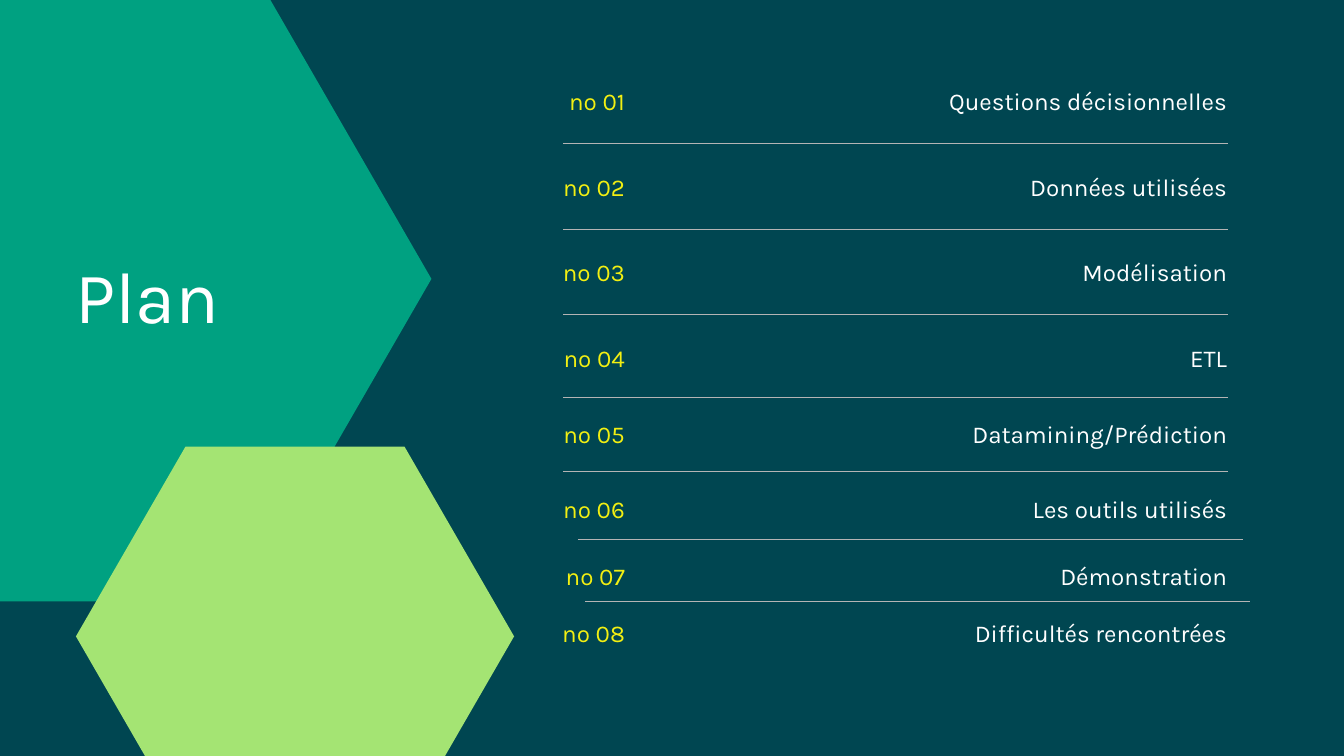
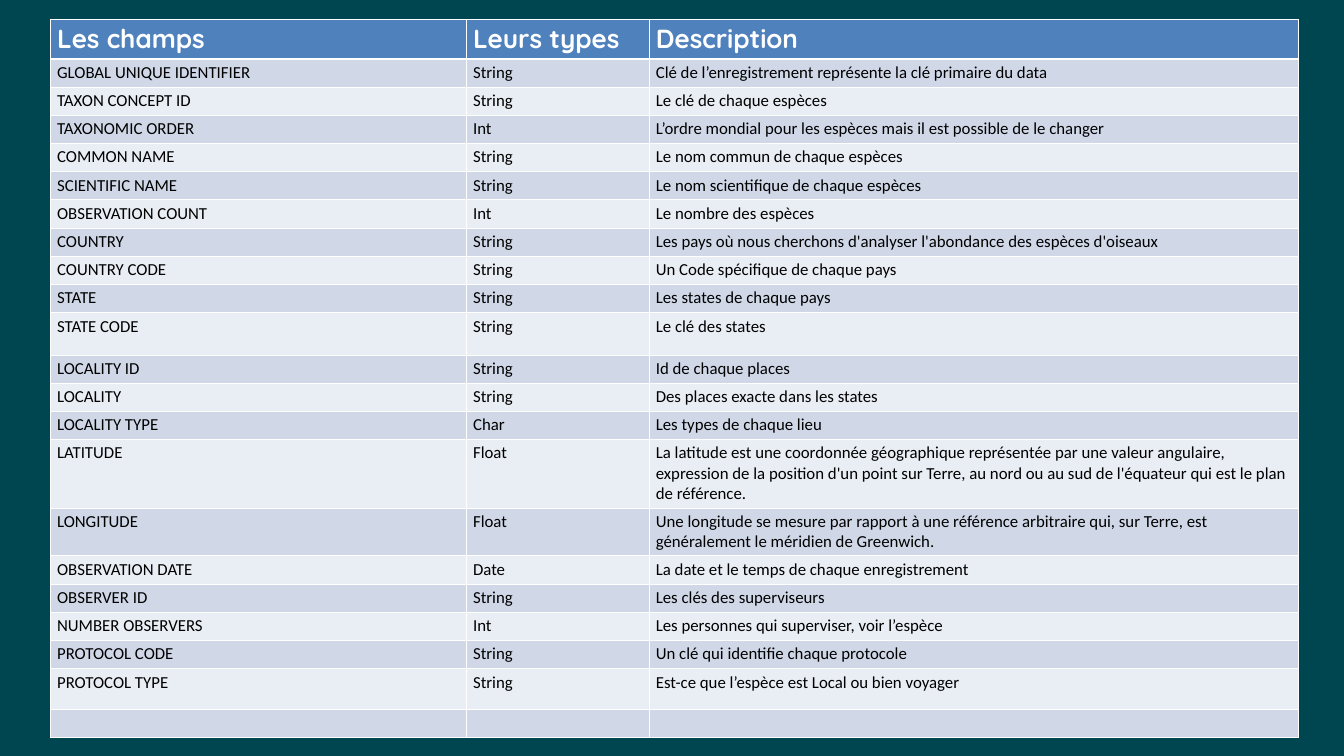
import math
import pptx
import pptx.util
import pptx.dml.color
import pptx.enum.shapes
import pptx.enum.text
import pptx.oxml

Inch, Pt = pptx.util.Inches, pptx.util.Pt
RGB = pptx.dml.color.RGBColor
Align = pptx.enum.text.PP_ALIGN

NIGHT = RGB(0x00, 0x46, 0x51)
GREEN = RGB(0x00, 0xA1, 0x81)
LIME = RGB(0xA4, 0xE4, 0x73)
YELLOW = RGB(0xF2, 0xEF, 0x12)
GREY = RGB(0xB4, 0xB4, 0xB4)
WHITE = RGB(0xFF, 0xFF, 0xFF)
BLACK = RGB(0x00, 0x00, 0x00)
BLUE = RGB(0x4F, 0x81, 0xBD)
BANDS = RGB(0xE9, 0xED, 0xF4), RGB(0xD0, 0xD8, 0xE8)

WIDE, HIGH = 20, 11.25
TITLE = dict(size=Pt(77.8), name="Karla", bold=False)
ITEM = dict(size=Pt(25.9), name="Karla")
HEAD = dict(size=Pt(28), name="Quicksand", bold=True)
CELL = dict(size=Pt(18), name="Calibri", bold=False)

# Topic, top of its row, height of the rule above it, left end of that rule
PLAN = [
    ("Questions décisionnelles", 1.21, None, None),
    ("Données utilisées", 2.49, 2.13, 8.38),
    ("Modélisation", 3.76, 3.41, 8.38),
    ("ETL", 5.04, 4.68, 8.38),
    ("Datamining/Prédiction", 6.17, 5.92, 8.38),
    ("Les outils utilisés", 7.28, 7.02, 8.38),
    ("Démonstration", 8.28, 8.02, 8.6),
    ("Difficultés rencontrées", 9.13, 8.95, 8.71),
]
RULE = 9.89

FIELDS = [
    ("Les champs", "Leurs types", "Description"),
    ("GLOBAL UNIQUE IDENTIFIER", "String",
     "Clé de l’enregistrement représente la clé primaire du data"),
    ("TAXON CONCEPT ID", "String", "Le clé de chaque espèces"),
    ("TAXONOMIC ORDER", "Int",
     "L’ordre mondial pour les espèces mais il est possible de le changer"),
    ("COMMON NAME", "String", "Le nom commun de chaque espèces"),
    ("SCIENTIFIC NAME", "String", "Le nom scientifique de chaque espèces"),
    ("OBSERVATION COUNT", "Int", "Le nombre des espèces"),
    ("COUNTRY", "String",
     "Les pays où nous cherchons d'analyser l'abondance des espèces d'oiseaux"),
    ("COUNTRY CODE", "String", "Un Code spécifique de chaque pays"),
    ("STATE", "String", "Les states de chaque pays"),
    ("STATE CODE", "String", "Le clé des states"),
    ("LOCALITY ID", "String", "Id de chaque places"),
    ("LOCALITY", "String", "Des places exacte dans les states"),
    ("LOCALITY TYPE", "Char", "Les types de chaque lieu"),
    ("LATITUDE", "Float",
     "La latitude est une coordonnée géographique représentée par une valeur "
     "angulaire, expression de la position d'un point sur Terre, au nord ou au "
     "sud de l'équateur qui est le plan de référence."),
    ("LONGITUDE", "Float",
     "Une longitude se mesure par rapport à une référence arbitraire qui, sur "
     "Terre, est généralement le méridien de Greenwich."),
    ("OBSERVATION DATE", "Date", "La date et le temps de chaque enregistrement"),
    ("OBSERVER ID", "String", "Les clés des superviseurs"),
    ("NUMBER OBSERVERS", "Int", "Les personnes qui superviser, voir l’espèce"),
    ("PROTOCOL CODE", "String", "Un clé qui identifie chaque protocole"),
    ("PROTOCOL TYPE", "String", "Est-ce que l’espèce est Local ou bien voyager"),
    ("", "", ""),
]
COLS = 6.19, 2.72, 9.66
ROW = 0.42
TALL = {0: 0.58, 10: 0.63, 14: 1.02, 15: 0.71, 20: 0.61}


def style(font, look, color):
    for key, value in look.items():
        setattr(font, key, value)
    font.color.rgb = color


def write(shape, text, look, color, align, pitch):
    """Fill a text shape with one line, without insets."""
    frame = shape.text_frame
    frame.text = text
    frame.word_wrap = True
    frame.auto_size = pptx.enum.text.MSO_AUTO_SIZE.SHAPE_TO_FIT_TEXT
    frame.vertical_anchor = pptx.enum.text.MSO_ANCHOR.TOP
    for side in ("left", "top", "right", "bottom"):
        setattr(frame, "margin_" + side, 0)
    para = frame.paragraphs[0]
    para.alignment, para.line_spacing = align, Pt(pitch)
    style(para.runs[0].font, look, color)


def hexagon(slide, x, y, radius, color):
    """Draw a regular hexagon around the centre x, y."""
    spots = [(Inch(x + radius * math.cos(k * math.pi / 3)),
              Inch(y + radius * math.sin(k * math.pi / 3))) for k in range(6)]
    pen = slide.shapes.build_freeform(*spots[0])
    pen.add_line_segments(spots[1:], close=True)
    shape = pen.convert_to_shape()
    shape.shadow.inherit = False
    shape.fill.solid()
    shape.fill.fore_color.rgb = color
    shape.line.fill.background()


def rule(slide, x, y):
    line = slide.shapes.add_connector(
        pptx.enum.shapes.MSO_CONNECTOR.STRAIGHT,
        Inch(x), Inch(y), Inch(x + RULE), Inch(y))
    line.line.color.rgb, line.line.width = GREY, Pt(0.75)
    props = line.element.spPr
    props.append(props.makeelement(pptx.oxml.ns.qn("a:effectLst"), {}))


def border(cell, side, width):
    props = cell._tc.get_or_add_tcPr()
    props.append(pptx.oxml.parse_xml(
        f'<a:ln{side} {pptx.oxml.ns.nsdecls("a")} w="{Pt(width)}">'
        f'<a:solidFill><a:srgbClr val="{WHITE}"/></a:solidFill></a:ln{side}>'))


def agenda(deck):
    slide = deck.slides.add_slide(deck.slide_layouts.get_by_name("Title Only"))
    hexagon(slide, 0.88, 4.15, 5.54, GREEN)
    title = slide.shapes.title
    title.left, title.top, title.width, title.height = map(
        Inch, (1.12, 3.74, 2.79, 1.29))
    write(title, "Plan", TITLE, WHITE, Align.LEFT, 93.3)
    title.element.getparent().append(title.element)  # in front of the green
    hexagon(slide, 4.39, 9.47, 3.26, LIME)
    for num, (topic, top, y, x) in enumerate(PLAN, 1):
        if y:
            rule(slide, x, y)
        for left, width, text, color in ((7.94, 1.36, f"nº {num:02}", YELLOW),
                                         (10.48, 7.78, topic, WHITE)):
            box = slide.shapes.add_textbox(*map(Inch, (left, top, width, 0.47)))
            write(box, text, ITEM, color, Align.RIGHT, 36.4)


def fields(deck):
    slide = deck.slides.add_slide(deck.slide_layouts.get_by_name("Blank"))
    highs = [TALL.get(k, ROW) for k in range(len(FIELDS))]
    table = slide.shapes.add_table(
        len(FIELDS), len(COLS),
        *map(Inch, (0.75, 0.29, sum(COLS), sum(highs)))).table
    for col, width in zip(table.columns, COLS):
        col.width = Inch(width)
    for r, (texts, high) in enumerate(zip(FIELDS, highs)):
        table.rows[r].height = Inch(high)
        look, ink, fill = (CELL, BLACK, BANDS[r % 2]) if r else (HEAD, WHITE, BLUE)
        for c, text in enumerate(texts):
            cell = table.cell(r, c)
            for side in "LRTB":
                thick = (r, side) in ((0, "B"), (1, "T"))
                border(cell, side, 3 if thick else 1)
            cell.fill.solid()
            cell.fill.fore_color.rgb = fill
            cell.text = text
            style(cell.text_frame.paragraphs[0].font, look, ink)


def main():
    deck = pptx.Presentation()
    deck.slide_width, deck.slide_height = Inch(WIDE), Inch(HIGH)
    back = deck.slide_master.background.fill
    back.solid()
    back.fore_color.rgb = NIGHT
    agenda(deck)
    fields(deck)
    deck.save("out.pptx")


if __name__ == "__main__":
    main()
